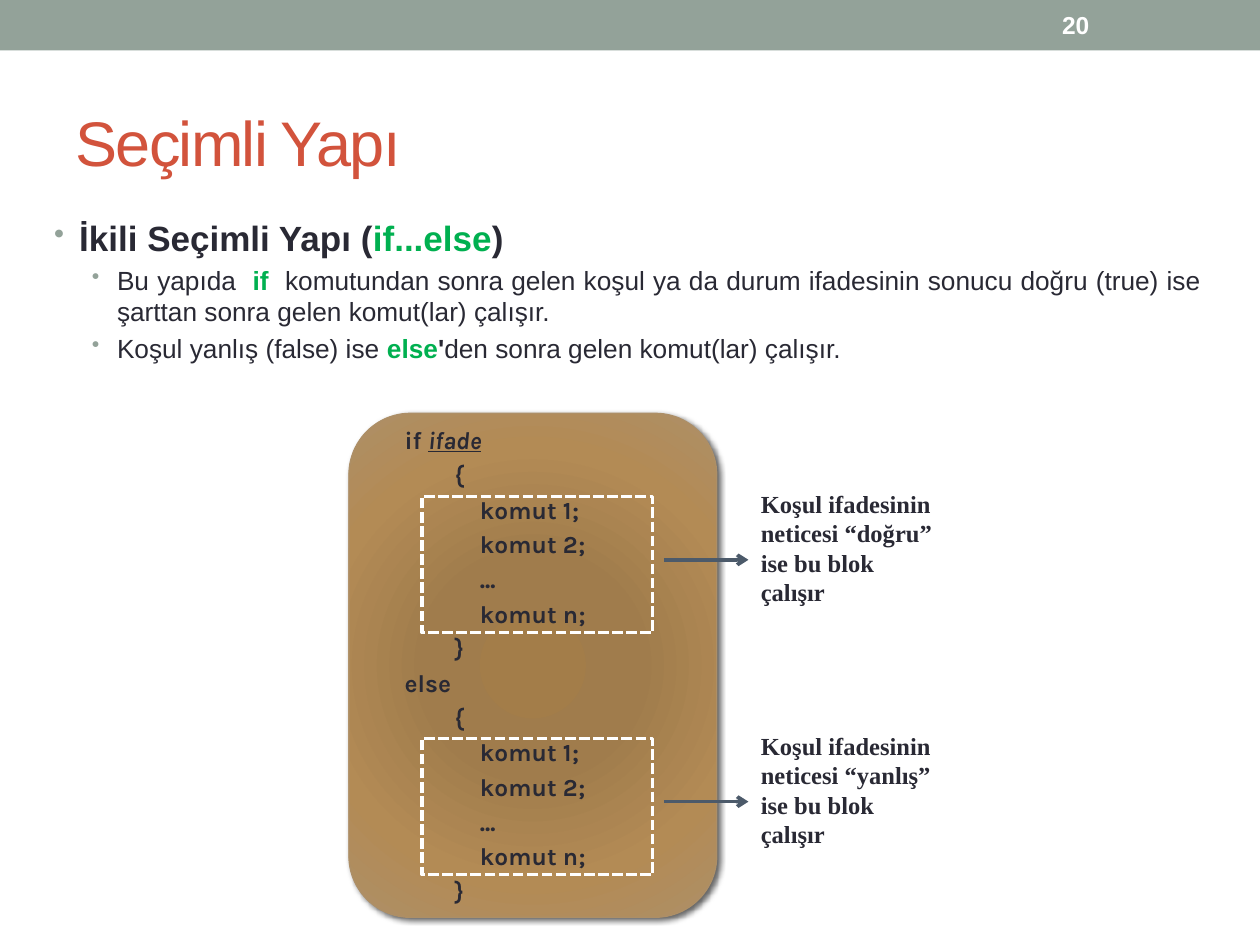
from pptx import Presentation
from pptx.dml.color import RGBColor
from pptx.enum.dml import MSO_LINE
from pptx.enum.shapes import MSO_CONNECTOR, MSO_SHAPE
from pptx.enum.text import MSO_ANCHOR, PP_ALIGN
from pptx.oxml import parse_xml
from pptx.oxml.ns import nsdecls
from pptx.util import Pt

SAGE = RGBColor(0x93, 0xA2, 0x99)
RUST = RGBColor(0xD2, 0x53, 0x3C)
INK = RGBColor(0x29, 0x29, 0x34)
GREEN = RGBColor(0x00, 0xB0, 0x50)
WHITE = RGBColor(0xFF, 0xFF, 0xFF)
SLATE = RGBColor(0x4C, 0x5A, 0x6A)
TAN = RGBColor(0xAD, 0x8F, 0x67)
CARAMEL = RGBColor(0xB3, 0x8B, 0x55)
UMBER = RGBColor(0xA0, 0x7C, 0x4C)
BRONZE = RGBColor(0xA3, 0x7D, 0x49)
GRADIENT = [(0, BRONZE), (34, UMBER), (70, CARAMEL), (100, TAN)]
SANS, CODE, SERIF = "Arial", "Karla", "Times New Roman"


def element(tag, attributes="", content=""):
    """Return a DrawingML element."""
    return parse_xml(f"<a:{tag} {nsdecls('a')} {attributes}>{content}</a:{tag}>")


class SlideBuilder:
    """Draws styled elements on one slide."""

    def __init__(self, page):
        """Keep the current slide."""
        self.page = page

    def span(self, para, text, font, size, color=INK, bold=False):
        """Add one run and return it."""
        span = para.add_run()
        span.text = text
        span.font.name, span.font.size, span.font.bold = font, Pt(size), bold
        span.font.color.rgb = color
        return span

    def title(self, text, *place):
        """Move the title placeholder and fill it."""
        box = self.page.shapes.title
        box.left, box.top, box.width, box.height = map(Pt, place)
        box.text_frame.vertical_anchor = MSO_ANCHOR.MIDDLE
        para = box.text_frame.paragraphs[0]
        para.alignment = PP_ALIGN.LEFT
        span = self.span(para, text, SANS, 36, RUST)
        span.font._element.set("spc", "-100")

    def text(self, *place, anchor=MSO_ANCHOR.TOP):
        """Add a wrapping text box and return its frame."""
        frame = self.page.shapes.add_textbox(*map(Pt, place)).text_frame
        frame.word_wrap = True
        frame.vertical_anchor = anchor
        return frame

    def bullet(self, para, indent, size, parts):
        """Format a bulleted paragraph made of styled parts."""
        para.space_before = Pt(size / 5)
        settings = para._p.get_or_add_pPr()
        settings.set("marL", str(Pt(indent)))
        settings.set("indent", str(Pt(-14.4)))
        settings.append(element("buClr", content=f'<a:srgbClr val="{SAGE}"/>'))
        settings.append(element("buSzPct", 'val="85000"'))
        settings.append(element("buChar", 'char="•"'))
        for text, color, bold in parts:
            self.span(para, text, SANS, size, color, bold)

    def shape(self, kind, *place, fill=None, line=None, width=0.75):
        """Add a preset shape without a shadow."""
        shape = self.page.shapes.add_shape(kind, *map(Pt, place))
        shape.shadow.inherit = False
        if fill is None:
            shape.fill.background()
        else:
            shape.fill.solid()
            shape.fill.fore_color.rgb = fill
        if line is None:
            shape.line.fill.background()
        else:
            shape.line.color.rgb = line
            shape.line.width = Pt(width)
        return shape

    def code_panel(self, *place):
        """Add the shaded rounded panel and return its frame."""
        panel = self.shape(MSO_SHAPE.ROUNDED_RECTANGLE, *place, line=TAN)
        panel.adjustments[0] = 0.167
        stops = "".join(
            f'<a:gs pos="{stop * 1000}"><a:srgbClr val="{color}"/></a:gs>'
            for stop, color in GRADIENT)
        center = '<a:fillToRect l="100000" t="100000" r="100000" b="100000"/>'
        gradient = element("gradFill", 'rotWithShape="1"', f"<a:gsLst>{stops}</a:gsLst>"
                           f'<a:path path="circle">{center}</a:path>')
        properties = panel._element.spPr
        properties.replace(properties.find("{*}noFill"), gradient)
        shade = '<a:srgbClr val="000000"><a:alpha val="60000"/></a:srgbClr>'
        properties.find("{*}effectLst").append(element(
            "outerShdw", f'blurRad="{Pt(3)}" dist="{Pt(2)}" dir="2700000"', shade))
        frame = panel.text_frame
        frame.word_wrap = True
        frame.vertical_anchor = MSO_ANCHOR.MIDDLE
        frame.margin_left = Pt(21.6)
        return frame

    def code_line(self, para, indent, parts):
        """Write an indented line of code."""
        para.alignment = PP_ALIGN.LEFT
        para.space_after = Pt(3)
        settings = para._p.get_or_add_pPr()
        settings.set("marL", str(Pt(indent)))
        settings.set("indent", "0")
        for text, emphasis in parts:
            span = self.span(para, text, CODE, 14, bold=True)
            span.font.italic = span.font.underline = emphasis

    def arrow(self, left, right, height):
        """Add a horizontal arrow."""
        arrow = self.page.shapes.add_connector(
            MSO_CONNECTOR.STRAIGHT, Pt(left), Pt(height), Pt(right), Pt(height))
        arrow.line.color.rgb = SLATE
        arrow.line.width = Pt(2.08)
        arrow.line._get_or_add_ln().append(element("tailEnd", 'type="arrow"'))
        arrow._element.spPr.append(element("effectLst"))

    def block(self, top, verdict):
        """Frame a command block and explain it beside the panel."""
        frame = self.shape(MSO_SHAPE.RECTANGLE, 241.2, top, 131.8, 77.8,
                           line=WHITE, width=2)
        frame.line.dash_style = MSO_LINE.SQUARE_DOT
        self.arrow(379.4, 427.7, top + 36.2)
        note = self.text(427.7, top - 7.9, 113.8, 92.2)
        self.span(note.paragraphs[0],
                  f"Koşul ifadesinin neticesi “{verdict}” ise bu blok çalışır",
                  SERIF, 14, bold=True)


BULLETS = [
    (14.4, 20, [("İkili Seçimli Yapı (", INK, True), ("if...else", GREEN, True),
                (") ", INK, True)]),
    (36, 15, [("Bu yapıda  ", INK, False), ("if  ", GREEN, True),
              ("komutundan sonra gelen koşul ya da durum ifadesinin sonucu "
               "doğru (true) ise şarttan sonra gelen komut(lar) çalışır.", INK, False)]),
    (36, 15, [("Koşul yanlış (false) ise ", INK, False), ("else", GREEN, True),
              ("'", INK, True), ("den sonra gelen komut(lar) çalışır.", INK, False)]),
]
COMMANDS = ["komut 1;", "komut 2;", "...", "komut n;"]
BODY = [(28.5, [("{", False)]), *((43, [(text, False)]) for text in COMMANDS),
        (28.5, [("}", False)])]
CODE_LINES = [(0, [("if ", False), ("ifade", True)]), *BODY,
              (0, [("else", False)]), *BODY]

deck = Presentation()
deck.slide_width, deck.slide_height = Pt(720), Pt(540)
page = deck.slides.add_slide(deck.slide_layouts[5])
builder = SlideBuilder(page)

builder.shape(MSO_SHAPE.RECTANGLE, 0, 0, 720, 28.8, fill=SAGE)
builder.title("Seçimli Yapı", 36, 41.8, 648, 77.8)
number = builder.text(599.8, 1.4, 84.2, 25.9, anchor=MSO_ANCHOR.MIDDLE)
builder.span(number.paragraphs[0], "20", SANS, 14, WHITE, True)

body = builder.text(23.8, 120.2, 669.6, 200.9)
for index, (indent, size, parts) in enumerate(BULLETS):
    para = body.add_paragraph() if index else body.paragraphs[0]
    para.alignment = PP_ALIGN.JUSTIFY if index else PP_ALIGN.LEFT
    para.level = min(index, 1)
    builder.bullet(para, indent, size, parts)

panel = builder.code_panel(199.4, 236.2, 210.2, 288)
for index, (indent, parts) in enumerate(CODE_LINES):
    para = panel.add_paragraph() if index else panel.paragraphs[0]
    builder.code_line(para, indent, parts)

for top, verdict in [(283.7, "doğru"), (427.7 - 5.8, "yanlış")]:
    builder.block(top, verdict)

deck.save("out.pptx")
